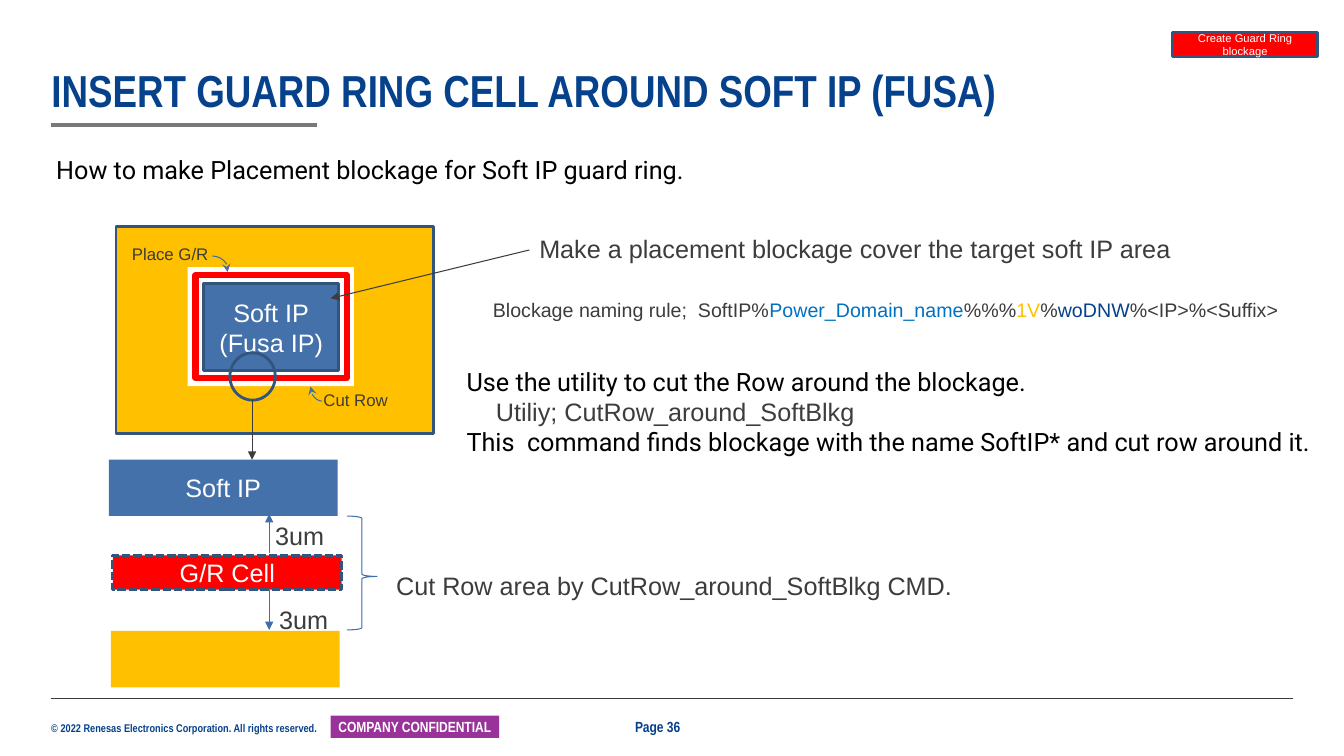
import pptx
import pptx.util
import pptx.dml.color
import pptx.enum.dml
import pptx.enum.shapes
import pptx.enum.text
import pptx.oxml.ns
import lxml.etree

C = {"navy": "06418C", "text": "3C3C3B", "rule": "797979", "purple": "993399",
     "gold": "FFC000", "blue": "4471A9", "edge": "32547D", "thin": "406EA8",
     "red": "FF0000", "white": "FFFFFF", "black": "000000", "domain": "0070C0"}
RGB = {k: pptx.dml.color.RGBColor.from_string(v) for k, v in C.items()}
MSO = pptx.enum.shapes.MSO_SHAPE
ANCHOR = pptx.enum.text.MSO_ANCHOR
ALIGN = pptx.enum.text.PP_ALIGN
Pt = pptx.util.Pt
qn = pptx.oxml.ns.qn

prs = pptx.Presentation()
prs.slide_width = pptx.util.Inches(13.33)
prs.slide_height = pptx.util.Inches(7.5)
cell = pptx.util.Inches(0.1)
slide = prs.slides.add_slide(prs.slide_layouts[5])
shapes = slide.shapes


def write(sp, paras, size, font, color, bold=False, align=ALIGN.LEFT, anchor=ANCHOR.TOP, wrap=False):
    tf = sp.text_frame
    tf.word_wrap = wrap
    tf.auto_size = pptx.enum.text.MSO_AUTO_SIZE.NONE
    tf.vertical_anchor = anchor
    for i, runs in enumerate(paras):
        p = tf.paragraphs[0] if i == 0 else tf.add_paragraph()
        p.alignment = align
        for text, tint in runs:
            r = p.add_run()
            r.text = text
            r.font.size = Pt(size)
            r.font.name = font
            r.font.bold = bold
            r.font.color.rgb = RGB[tint or color]
    return tf


def outline(sp, color, width, end=None, head=None):
    sp.line.color.rgb = RGB[color]
    sp.line.width = Pt(width)
    if end:
        ln = sp.line._get_or_add_ln()
        lxml.etree.SubElement(ln, qn("a:" + end)).set("type", head)


title = shapes.title
title.left, title.top, title.width, title.height = [int(v * cell) for v in (5.1, 6.8, 123, 4.8)]
tf = write(title, [[("INSERT GUARD RING CELL AROUND SOFT IP (FUSA)", None)]], 32,
           "Arial Narrow", "navy", True, anchor=ANCHOR.BOTTOM, wrap=True)
tf.margin_left = tf.margin_right = tf.margin_top = tf.margin_bottom = 0
tf.paragraphs[0].line_spacing = 0.9

blocks = [
    (MSO.RECTANGLE, 32.8, 71, 16.7, 2.2, "purple", None, 0, ["COMPANY CONFIDENTIAL"], 10.5),
    (MSO.RECTANGLE, 11.5, 22.5, 31.5, 20.5, "gold", "edge", 2, [], 18),
    (MSO.RECTANGLE, 18.6, 26.5, 16.5, 11.8, "white", None, 0, [], 18),
    (MSO.RECTANGLE, 116.3, 3.2, 14.4, 2.4, "red", "edge", 2, ["Create Guard Ring blockage"], 8),
    (MSO.RECTANGLE, 20.2, 28.1, 13.4, 8.7, "blue", "edge", 2, ["Soft IP", "(Fusa IP)"], 18),
    (MSO.RECTANGLE, 19.4, 27.3, 15, 10.2, None, "red", 4.5, [], 18),
    (MSO.RECTANGLE, 11.2, 55.1, 22.7, 3.4, "red", "edge", 2, ["G/R Cell"], 18),
    (MSO.RECTANGLE, 10.8, 45.6, 22.7, 5.6, "blue", None, 0, ["Soft IP"], 18),
    (MSO.RECTANGLE, 11, 62.6, 22.7, 5.6, "gold", None, 0, [], 18),
    (MSO.OVAL, 22.8, 35, 4.5, 4.7, None, "edge", 2, [], 18),
]
for kind, x, y, w, h, fill, edge, width, words, size in blocks:
    sp = shapes.add_shape(kind, *[int(v * cell) for v in (x, y, w, h)])
    sp.shadow.inherit = False
    if fill:
        sp.fill.solid()
        sp.fill.fore_color.rgb = RGB[fill]
    else:
        sp.fill.background()
    if edge:
        outline(sp, edge, width)
    else:
        sp.line.fill.background()
    if words == ["G/R Cell"]:
        sp.line.dash_style = pptx.enum.dml.MSO_LINE.SQUARE_DOT
    badge = fill == "purple"
    tf = write(sp, [[(t, None)] for t in words], size, "Arial Narrow" if badge else "Arial",
               "white", badge, ALIGN.CENTER, ANCHOR.MIDDLE, True)
    if badge:
        tf.margin_left = tf.margin_right = int(0.4 * cell)
        tf.margin_top = tf.margin_bottom = 0

curves = [
    (MSO.ARC, 30.8, 36.9, 2.4, 2.9, "flipV", (107.86, 160.57), "stealth"),
    (MSO.ARC, 19.4, 25.4, 3.2, 2.7, "flipH", (103.07, 160.57), "stealth"),
    (MSO.LEFT_BRACE, 34.4, 51.2, 3, 11.3, "flipH", (0.08, 0.53), None),
]
for kind, x, y, w, h, flip, adjust, head in curves:
    sp = shapes.add_shape(kind, *[int(v * cell) for v in (x, y, w, h)])
    sp.shadow.inherit = False
    sp.fill.background()
    outline(sp, "thin", 0.75, head and "headEnd", head)
    sp._element.spPr.find(qn("a:xfrm")).set(flip, "1")
    for i, value in enumerate(adjust):
        sp.adjustments[i] = value

lines = [
    (5.1, 69.3, 128.2, 69.3, "text", 0.5, None),
    (5.1, 12.4, 31.4, 12.4, "rule", 3, None),
    (52.5, 24.8, 32.8, 29.6, "text", 0.75, "triangle"),
    (26.7, 54.9, 26.7, 51, "thin", 0.75, "triangle"),
    (26.7, 58.5, 26.7, 62.5, "thin", 0.75, "triangle"),
    (25, 39.7, 25, 45.6, "text", 0.75, "triangle"),
]
for x1, y1, x2, y2, color, width, head in lines:
    ln = shapes.add_connector(pptx.enum.shapes.MSO_CONNECTOR.STRAIGHT,
                              *[int(v * cell) for v in (x1, y1, x2, y2)])
    outline(ln, color, width, head and "tailEnd", head)
    lxml.etree.SubElement(ln._element.spPr, qn("a:effectLst"))

labels = [
    (31.1, 38.2, 8.5, 3, "Cut Row", 12, "Arial", "text"),
    (12.1, 23.7, 9.7, 3, "Place G/R", 12, "Arial", "text"),
    (52.5, 22.7, 65.2, 4, "Make a placement blockage cover the target soft IP area", 18, "Arial", "text"),
    (26.3, 51.1, 6.9, 4, "3um", 18, "Arial", "text"),
    (26.7, 59.5, 6.9, 4, "3um", 18, "Arial", "text"),
    (38.3, 56.1, 58.2, 4, "Cut Row area by CutRow_around_SoftBlkg CMD.", 18, "Arial", "text"),
    (4.6, 14.8, 64.4, 4, "How to make Placement blockage for Soft IP guard ring.", 18, "Roboto", "black"),
    (62, 70.7, 6.7, 2.8, "Page 36", 10.5, "Arial Narrow", "navy"),
    (4.1, 71.1, 29.3, 2.3, "© 2022 Renesas Electronics Corporation. All rights reserved.", 8, "Arial Narrow", "navy"),
]
for x, y, w, h, text, size, font, color in labels:
    tb = shapes.add_textbox(*[int(v * cell) for v in (x, y, w, h)])
    write(tb, [[(text, None)]], size, font, color, font == "Arial Narrow")

naming = shapes.add_textbox(*[int(v * cell) for v in (47.9, 29.1, 80.4, 3.4)])
write(naming, [[("Blockage naming rule;  SoftIP%", None), ("Power_Domain_name", "domain"),
                ("%%%", None), ("1V", "gold"), ("%", None), ("woDNW", "navy"),
                ("%<IP>%<Suffix>", None)]], 14, "Arial", "text")

utility = shapes.add_textbox(*[int(v * cell) for v in (45.3, 35.8, 86.7, 10.1)])
tf = write(utility, [
    [("Use the utility to cut the Row around the blockage.", None)],
    [("Utiliy; CutRow_around_SoftBlkg", "text")],
    [("This  command finds blockage with the name SoftIP* and cut row around it.", None)],
], 18, "Roboto", "black", wrap=True)
command = tf.paragraphs[1]
command.runs[0].font.name = "Arial"
command._p.get_or_add_pPr().set("marL", str(int(2.9 * cell)))

prs.save("out.pptx")
